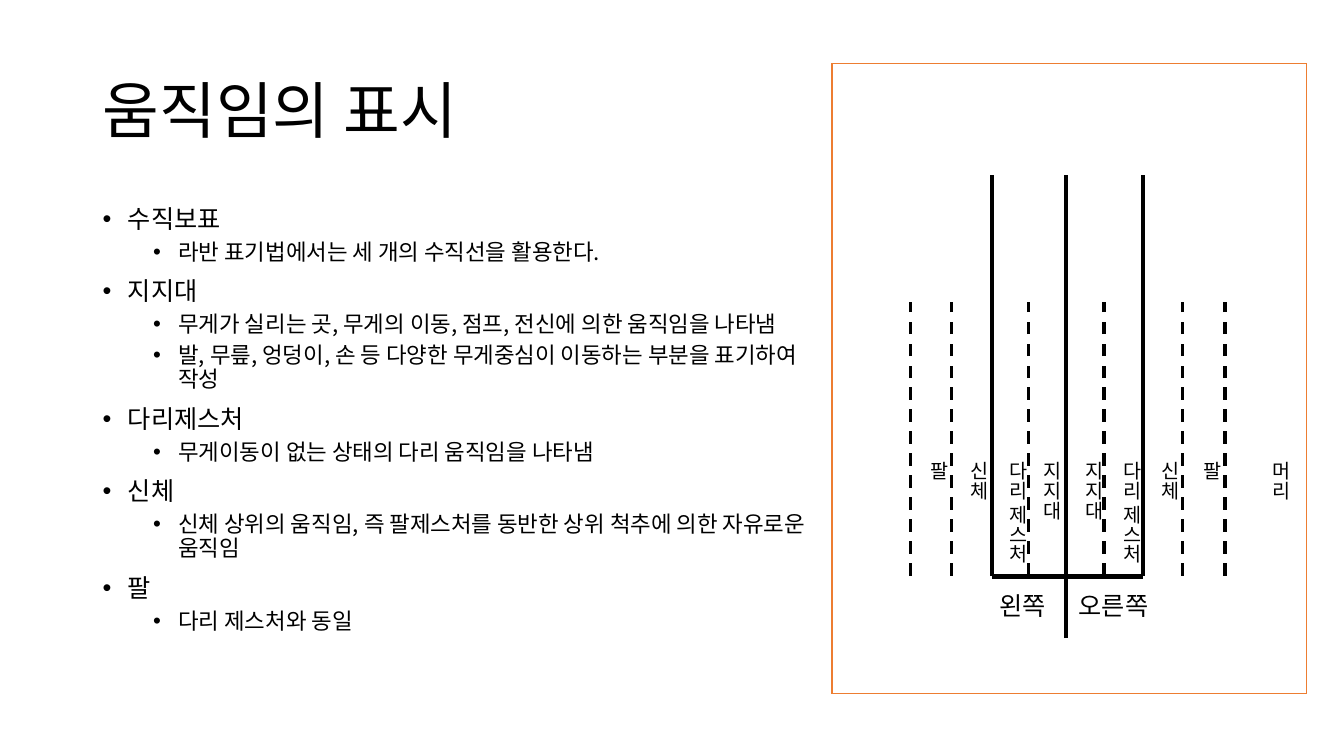
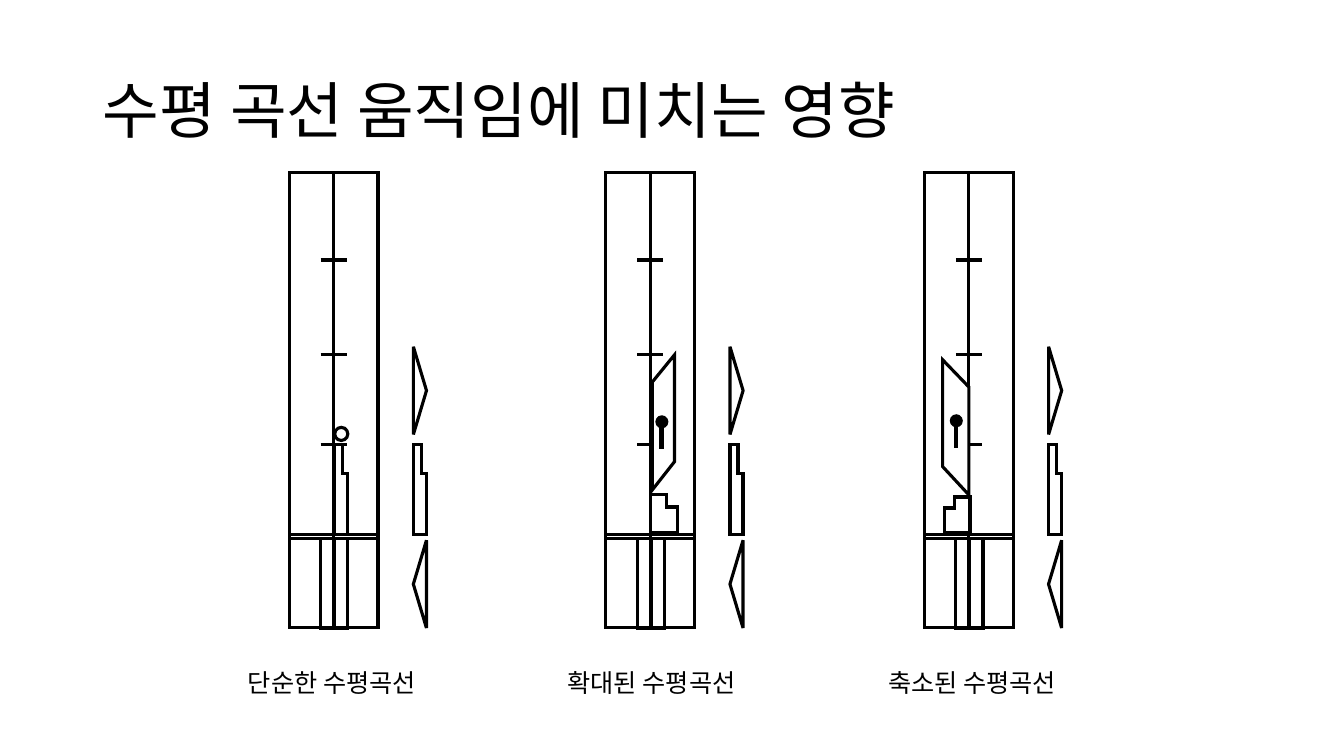
"""Builds two slides on vertical staff notation of movement."""
from dataclasses import dataclass
from typing import Optional

from lxml.etree import SubElement
from pptx import Presentation
from pptx.dml.color import RGBColor
from pptx.enum.dml import MSO_LINE
from pptx.enum.shapes import MSO_CONNECTOR, MSO_SHAPE
from pptx.enum.text import MSO_ANCHOR, MSO_AUTO_SIZE, PP_ALIGN
from pptx.oxml.ns import qn
from pptx.util import Inches, Pt

BLACK = RGBColor(0x00, 0x00, 0x00)
WHITE = RGBColor(0xFF, 0xFF, 0xFF)
ORANGE = RGBColor(0xED, 0x7D, 0x31)
FONT = "Noto Sans CJK KR"
THIN, THICK = 2.25, 3


@dataclass(frozen=True)
class Topic:
    """A heading with its explanations."""
    name: str
    details: tuple[str, ...]


@dataclass(frozen=True)
class Stair:
    """A stepped outline, measured from the centre line of its staff."""
    x: float
    y: float
    w: float
    h: float
    notch_x: float
    notch_y: float


@dataclass(frozen=True)
class Turn:
    """A slanted turn sign with its pin, measured from the centre line."""
    outer: float
    inner: float
    y: float
    pin_x: float
    pin_y: float


@dataclass(frozen=True)
class Staff:
    """One staff figure with its caption."""
    centre: float
    caption: str
    caption_x: float
    step: Stair
    turn: Optional[Turn] = None


TOPICS = (
    Topic("수직보표", ("라반 표기법에서는 세 개의 수직선을 활용한다.",)),
    Topic("지지대", ("무게가 실리는 곳, 무게의 이동, 점프, 전신에 의한 움직임을 나타냄",
                  "발, 무릎, 엉덩이, 손 등 다양한 무게중심이 이동하는 부분을 표기하여 작성")),
    Topic("다리제스처", ("무게이동이 없는 상태의 다리 움직임을 나타냄",)),
    Topic("신체", ("신체 상위의 움직임, 즉 팔제스처를 동반한 상위 척추에 의한 자유로운 움직임",)),
    Topic("팔", ("다리 제스처와 동일",)),
)
COLUMNS = (
    (9.04, "팔"), (9.43, "신체"), (9.82, "다리 제스처"), (10.16, "지지대"), (10.57, "지지대"),
    (10.95, "다리 제스처"), (11.33, "신체"), (11.74, "팔"), (12.43, "머리"),
)
SIDE_STEP = Stair(0.79, 4.41, 0.13, 0.89, 0.08, 0.29)
STAFFS = (
    Staff(3.31, "단순한 수평곡선", 2.36, Stair(0.01, 4.41, 0.13, 0.89, 0.08, 0.29)),
    Staff(6.45, "확대된 수평곡선", 5.53, Stair(0, 4.91, 0.27, 0.37, 0.16, 0.12),
          Turn(0.24, 0.02, 3.52, 0.11, 4.12)),
    Staff(9.61, "축소된 수평곡선", 8.71, Stair(0.01, 4.93, -0.25, 0.35, -0.15, 0.11),
          Turn(-0.26, 0, 3.57, -0.13, 4.11)),
)


def add_run(p, text: str, size: float) -> None:
    """Add a run in the shared font."""
    r = p.add_run()
    r.text = text
    r.font.size = Pt(size)
    r.font.color.rgb = BLACK
    r.font.name = FONT
    SubElement(r.font._element, qn("a:ea"), typeface=FONT)


def set_line(line, color: RGBColor, width: float, dashed: bool = False) -> None:
    """Format an outline with sharp corners."""
    line.color.rgb = color
    line.width = Pt(width)
    if dashed:
        line.dash_style = MSO_LINE.DASH
    SubElement(line._get_or_add_ln(), qn("a:miter"), lim="800000")


def add_line(shapes, x1: float, y1: float, x2: float, y2: float,
             width: float = THIN, dashed: bool = False) -> None:
    """Draw a straight black line."""
    c = shapes.add_connector(MSO_CONNECTOR.STRAIGHT, Inches(x1), Inches(y1), Inches(x2), Inches(y2))
    set_line(c.line, BLACK, width, dashed)
    SubElement(c._element.spPr, qn("a:effectLst"))


def style(sp, fill: Optional[RGBColor], line: Optional[RGBColor], width: float = THIN) -> None:
    """Set fill and outline, and drop the shadow."""
    sp.shadow.inherit = False
    if fill is None:
        sp.fill.background()
    else:
        sp.fill.solid()
        sp.fill.fore_color.rgb = fill
    if line is None:
        sp.line.fill.background()
    else:
        set_line(sp.line, line, width)


def add_preset(shapes, kind: MSO_SHAPE, x: float, y: float, w: float, h: float,
               fill: Optional[RGBColor] = WHITE, line: Optional[RGBColor] = BLACK,
               width: float = THIN, rotation: float = 0) -> None:
    """Draw a preset shape."""
    sp = shapes.add_shape(kind, Inches(x), Inches(y), Inches(w), Inches(h))
    sp.rotation = rotation
    style(sp, fill, line, width)


def add_outline(shapes, points: list[tuple[float, float]]) -> None:
    """Draw a closed white polygon."""
    start, *rest = [(Inches(x), Inches(y)) for x, y in points]
    builder = shapes.build_freeform(*start, scale=1.0)
    builder.add_line_segments(rest, close=True)
    style(builder.convert_to_shape(), WHITE, BLACK)


def add_label(s, text: str, x: float, y: float, w: float, h: float = 0.4, size: float = 18,
              wrap: bool = False, vertical: bool = False) -> None:
    """Add a one-paragraph label."""
    tf = s.shapes.add_textbox(Inches(x), Inches(y), Inches(w), Inches(h)).text_frame
    tf.word_wrap = wrap
    tf.auto_size = MSO_AUTO_SIZE.SHAPE_TO_FIT_TEXT
    p = tf.paragraphs[0]
    if vertical:
        tf._txBody.bodyPr.set("vert", "eaVert")
        p.alignment = PP_ALIGN.RIGHT
    add_run(p, text, size)


def add_titled_slide(prs, title: str):
    """Add a title-only slide with the shared title style."""
    s = prs.slides.add_slide(prs.slide_layouts[5])
    sp = s.shapes.title
    sp.left, sp.top, sp.width, sp.height = Inches(0.92), Inches(0.4), Inches(11.5), Inches(1.45)
    tf = sp.text_frame
    tf.auto_size = MSO_AUTO_SIZE.NONE
    tf.vertical_anchor = MSO_ANCHOR.MIDDLE
    p = tf.paragraphs[0]
    p.alignment = PP_ALIGN.LEFT
    p.line_spacing = 0.9
    add_run(p, title, 44)
    return s


def add_topics(s) -> None:
    """Add the two-level bullet list."""
    tf = s.shapes.add_textbox(Inches(0.92), Inches(2), Inches(7.33), Inches(4.76)).text_frame
    tf.word_wrap = True
    items = [(level, text) for topic in TOPICS
             for level, text in [(0, topic.name), *((1, d) for d in topic.details)]]
    for i, (level, text) in enumerate(items):
        p = tf.add_paragraph() if i else tf.paragraphs[0]
        p.level = level
        p.line_spacing = 0.9
        if i:
            p.space_before = Pt(5 if level else 10)
        pPr = p._p.get_or_add_pPr()
        pPr.set("marL", str(Inches(0.75 if level else 0.25)))
        pPr.set("indent", str(Inches(-0.25)))
        SubElement(pPr, qn("a:buFont"), typeface="Arial")
        SubElement(pPr, qn("a:buChar"), char="•")
        add_run(p, text, 16 if level else 18)


def add_stair(shapes, centre: float, st: Stair) -> None:
    """Draw a stepped outline beside a centre line."""
    x, y = centre + st.x, st.y
    right, bottom = x + st.w, y + st.h
    nx, ny = x + st.notch_x, y + st.notch_y
    add_outline(shapes, [(nx, y), (x, y), (x, bottom), (right, bottom), (right, ny), (nx, ny)])


def add_turn(shapes, centre: float, t: Turn) -> None:
    """Draw a turn sign and its pin."""
    outer, inner, pin = centre + t.outer, centre + t.inner, centre + t.pin_x
    add_outline(shapes, [(outer, t.y), (inner, t.y + 0.27),
                         (inner, t.y + 1.34), (outer, t.y + 1.06)])
    add_line(shapes, pin, t.pin_y + 0.08, pin, t.pin_y + 0.33, THICK)
    add_preset(shapes, MSO_SHAPE.OVAL, pin - 0.06, t.pin_y, 0.13, 0.13, BLACK, None)


def add_staff(s, staff: Staff) -> None:
    """Draw one staff figure and its caption."""
    c = staff.centre
    shapes = s.shapes.add_group_shape().shapes
    for y, h in ((5.3, 0.93), (1.71, 3.59)):
        for x in (c - 0.44, c):
            add_preset(shapes, MSO_SHAPE.RECTANGLE, x, y, 0.44, h)
    add_line(shapes, c - 0.44, 5.34, c + 0.44, 5.34)
    for x in (c - 0.13, c + 0.01):
        add_preset(shapes, MSO_SHAPE.RECTANGLE, x, 5.34, 0.13, 0.89)
    for y in (4.41, 3.52, 2.58):
        add_line(shapes, c - 0.13, y, c + 0.13, y)
    for y, rotation in ((3.81, 90), (5.73, 270)):
        add_preset(shapes, MSO_SHAPE.ISOSCELES_TRIANGLE, c + 0.42, y, 0.87, 0.13, rotation=rotation)
    for stair in (SIDE_STEP, staff.step):
        add_stair(shapes, c, stair)
    if staff.turn:
        add_turn(shapes, c, staff.turn)
    else:
        add_preset(shapes, MSO_SHAPE.OVAL, c + 0.01, 4.24, 0.13, 0.13, None)
    add_label(s, staff.caption, staff.caption_x, 6.57, 2.06)


def build_notation_slide(prs) -> None:
    """Build the slide explaining the columns of the staff."""
    s = add_titled_slide(prs, "움직임의 표시")
    add_preset(s.shapes, MSO_SHAPE.RECTANGLE, 8.25, 0.63, 4.71, 6.25, None, ORANGE, 1)
    add_topics(s)
    add_line(s.shapes, 9.84, 5.72, 11.34, 5.72, THICK)
    for x, bottom in ((9.84, 5.71), (10.57, 6.33), (11.34, 5.71)):
        add_line(s.shapes, x, bottom, x, 1.74, THICK)
    for x in (9.03, 9.44, 10.2, 10.95, 11.73, 12.15):
        add_line(s.shapes, x, 5.71, x, 3, dashed=True)
    for x, text in COLUMNS:
        add_label(s, text, x, 4.48, 0.44, 1.23, 14, wrap=True, vertical=True)
    add_label(s, "왼쪽", 9.81, 5.81, 0.71)
    add_label(s, "오른쪽", 10.6, 5.81, 0.96, wrap=True)


def build_curves_slide(prs) -> None:
    """Build the slide comparing three horizontal curves."""
    s = add_titled_slide(prs, "수평 곡선 움직임에 미치는 영향")
    for staff in STAFFS:
        add_staff(s, staff)


def main() -> None:
    """Build and save the presentation."""
    prs = Presentation()
    prs.slide_width, prs.slide_height = Inches(13.33), Inches(7.5)
    build_notation_slide(prs)
    build_curves_slide(prs)
    prs.save("out.pptx")


if __name__ == "__main__":
    main()
